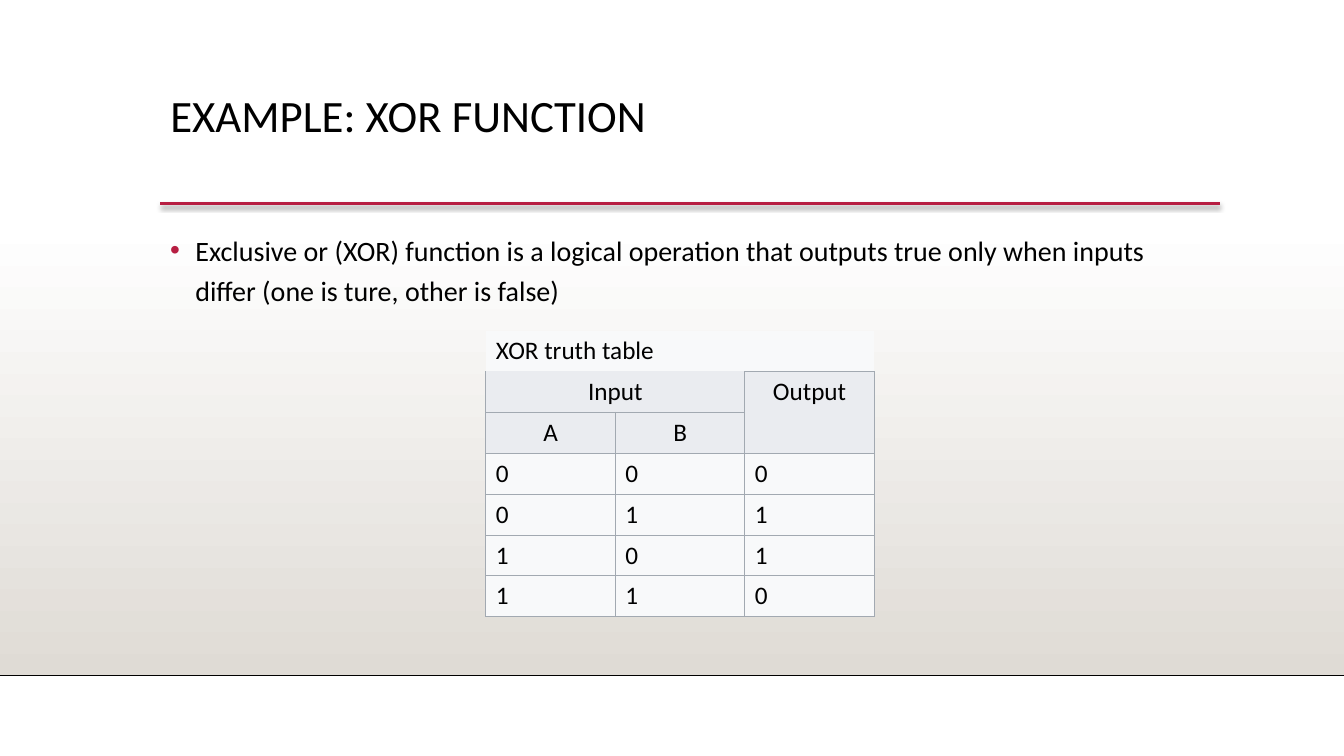
from dataclasses import dataclass

from lxml import etree
from pptx import Presentation, util as u
from pptx.dml.color import RGBColor
from pptx.enum import shapes, text
from pptx.oxml import ns, parse_xml

BLACK = RGBColor(0x00, 0x00, 0x00)
WHITE = RGBColor(0xFF, 0xFF, 0xFF)
CRIMSON = RGBColor(0xB7, 0x1E, 0x42)
SAND = RGBColor(0xDF, 0xDB, 0xD5)
HEADING = RGBColor(0xEA, 0xEC, 0xF0)
PALE = RGBColor(0xF8, 0xF9, 0xFA)
BORDER = RGBColor(0xA2, 0xA9, 0xB1)

FONT = "Calibri"
GRID = u.Inches(0.1)
SLIDE_COLS, SLIDE_ROWS = 133.33, 75
MARGIN, CONTENT_COLS = 15.9, 105
NO_GRID_STYLE = "{2D5ABB26-0587-4C30-8999-92F81FD0307C}"
LEFT, CENTER = text.PP_ALIGN.LEFT, text.PP_ALIGN.CENTER
DRAWING = ns.nsdecls("a")


@dataclass(frozen=True)
class Area:
    col: float
    row: float
    cols: float
    rows: float

    def place(self) -> dict:
        return dict(left=cells(self.col), top=cells(self.row),
                    width=cells(self.cols), height=cells(self.rows))


@dataclass(frozen=True)
class Rule:
    col: float
    row: float
    cols: float
    color: RGBColor
    weight: float
    effect: str = ""


@dataclass(frozen=True)
class Entry:
    row: int
    col: int
    words: str
    fill: RGBColor = PALE
    align: text.PP_ALIGN = LEFT
    rows: int = 1
    cols: int = 1
    sides: str = "LRTB"


SHADOW = (f'<a:outerShdw blurRad="{u.Pt(3.1)}" dist="{u.Pt(1.8)}" dir="5400000" '
          'algn="t" rotWithShape="0"><a:srgbClr val="000000">'
          '<a:alpha val="35000"/></a:srgbClr></a:outerShdw>')
RULES = (
    Rule(0, 67, SLIDE_COLS, BLACK, 1),
    Rule(MARGIN, 20.2, 105.1, CRIMSON, 2.5, SHADOW),
)
TRUTHS = ((0, 0, 0), (0, 1, 1), (1, 0, 1), (1, 1, 0))
ENTRIES = [
    Entry(0, 0, "XOR truth table", cols=3, sides=""),
    Entry(1, 0, "Input", HEADING, CENTER, cols=2, sides="LRB"),
    Entry(1, 2, "Output", HEADING, CENTER, rows=2),
    Entry(2, 0, "A", HEADING, CENTER),
    Entry(2, 1, "B", HEADING, CENTER),
] + [Entry(row, col, str(value))
     for row, values in enumerate(TRUTHS, 3) for col, value in enumerate(values)]


def cells(count: float) -> int:
    return round(count * GRID)


def write(frame, words: str, size: float, align=LEFT, spacing: float = 1):
    frame.text = words
    paragraph = frame.paragraphs[0]
    formats = dict(alignment=align, line_spacing=spacing)
    for name, value in formats.items():
        setattr(paragraph, name, value)
    font = paragraph.runs[0].font
    for name, value in dict(name=FONT, size=u.Pt(size)).items():
        setattr(font, name, value)
    font.color.rgb = BLACK
    return paragraph


def settle(shape, area: Area) -> None:
    for name, value in area.place().items():
        setattr(shape, name, value)
    layout = dict(word_wrap=True, auto_size=text.MSO_AUTO_SIZE.NONE,
                  vertical_anchor=text.MSO_ANCHOR.TOP)
    for name, value in layout.items():
        setattr(shape.text_frame, name, value)


def add_backdrop(slide) -> None:
    backdrop = slide.shapes.add_shape(
        shapes.MSO_SHAPE.RECTANGLE, **Area(0, 22.1, SLIDE_COLS, 44.9).place())
    backdrop.shadow.inherit = False
    backdrop.line.fill.background()
    backdrop.fill.gradient()
    backdrop.fill.gradient_angle = 270
    for stop, color in zip(backdrop.fill.gradient_stops, (WHITE, SAND)):
        stop.color.rgb = color


def add_rule(slide, rule: Rule) -> None:
    height = cells(rule.row)
    line = slide.shapes.add_connector(
        shapes.MSO_CONNECTOR.STRAIGHT, cells(rule.col), height,
        cells(rule.col + rule.cols), height)
    line.line.color.rgb = rule.color
    line.line.width = u.Pt(rule.weight)
    line._element.spPr.append(
        parse_xml(f"<a:effectLst {DRAWING}>{rule.effect}</a:effectLst>"))


def add_definition(slide) -> None:
    area = Area(MARGIN, 22, CONTENT_COLS, 37.7)
    definition = slide.shapes.add_textbox(**area.place())
    settle(definition, area)
    paragraph = write(
        definition.text_frame,
        "Exclusive or (XOR) function is a logical operation that outputs true "
        "only when inputs differ (one is ture, other is false)", 20, spacing=1.2)
    properties = paragraph._p.get_or_add_pPr()
    properties.set("marL", str(u.Inches(0.25)))
    properties.set("indent", str(-u.Inches(0.25)))
    color = etree.SubElement(properties, ns.qn("a:buClr"))
    etree.SubElement(color, ns.qn("a:srgbClr"), val=str(CRIMSON))
    etree.SubElement(properties, ns.qn("a:buFont"), typeface="Arial")
    etree.SubElement(properties, ns.qn("a:buChar"), char="•")


def paint(cell, entry: Entry) -> None:
    properties = cell._tc.get_or_add_tcPr()
    for side in entry.sides:
        properties.append(parse_xml(
            f'<a:ln{side} {DRAWING} w="{u.Pt(0.75)}"><a:solidFill>'
            f'<a:srgbClr val="{BORDER}"/></a:solidFill></a:ln{side}>'))
    cell.fill.solid()
    cell.fill.fore_color.rgb = entry.fill


def add_truth_table(slide) -> None:
    row_count, col_count = len(TRUTHS) + 3, 3
    area = Area(48.2, 32.8, 12.85 * col_count, 3.9 * row_count)
    table = slide.shapes.add_table(row_count, col_count, **area.place()).table
    for flag in ("first_row", "horz_banding"):
        setattr(table, flag, False)
    table._tbl.tblPr.find(ns.qn("a:tableStyleId")).text = NO_GRID_STYLE
    for entry in ENTRIES:
        last_row, last_col = entry.row + entry.rows, entry.col + entry.cols
        origin = table.cell(entry.row, entry.col)
        if entry.rows * entry.cols > 1:
            origin.merge(table.cell(last_row - 1, last_col - 1))
        for row in range(entry.row, last_row):
            for col in range(entry.col, last_col):
                paint(table.cell(row, col), entry)
        write(origin.text_frame, entry.words, 18, entry.align)


def main() -> None:
    deck = Presentation()
    deck.slide_width, deck.slide_height = cells(SLIDE_COLS), cells(SLIDE_ROWS)
    slide = deck.slides.add_slide(deck.slide_layouts[5])
    add_backdrop(slide)
    for rule in RULES:
        add_rule(slide, rule)
    title = slide.shapes.title
    settle(title, Area(MARGIN, 8.8, CONTENT_COLS, 11.5))
    write(title.text_frame, "EXAMPLE: XOR FUNCTION", 32, spacing=0.9)
    add_definition(slide)
    add_truth_table(slide)
    deck.save("out.pptx")


if __name__ == "__main__":
    main()
